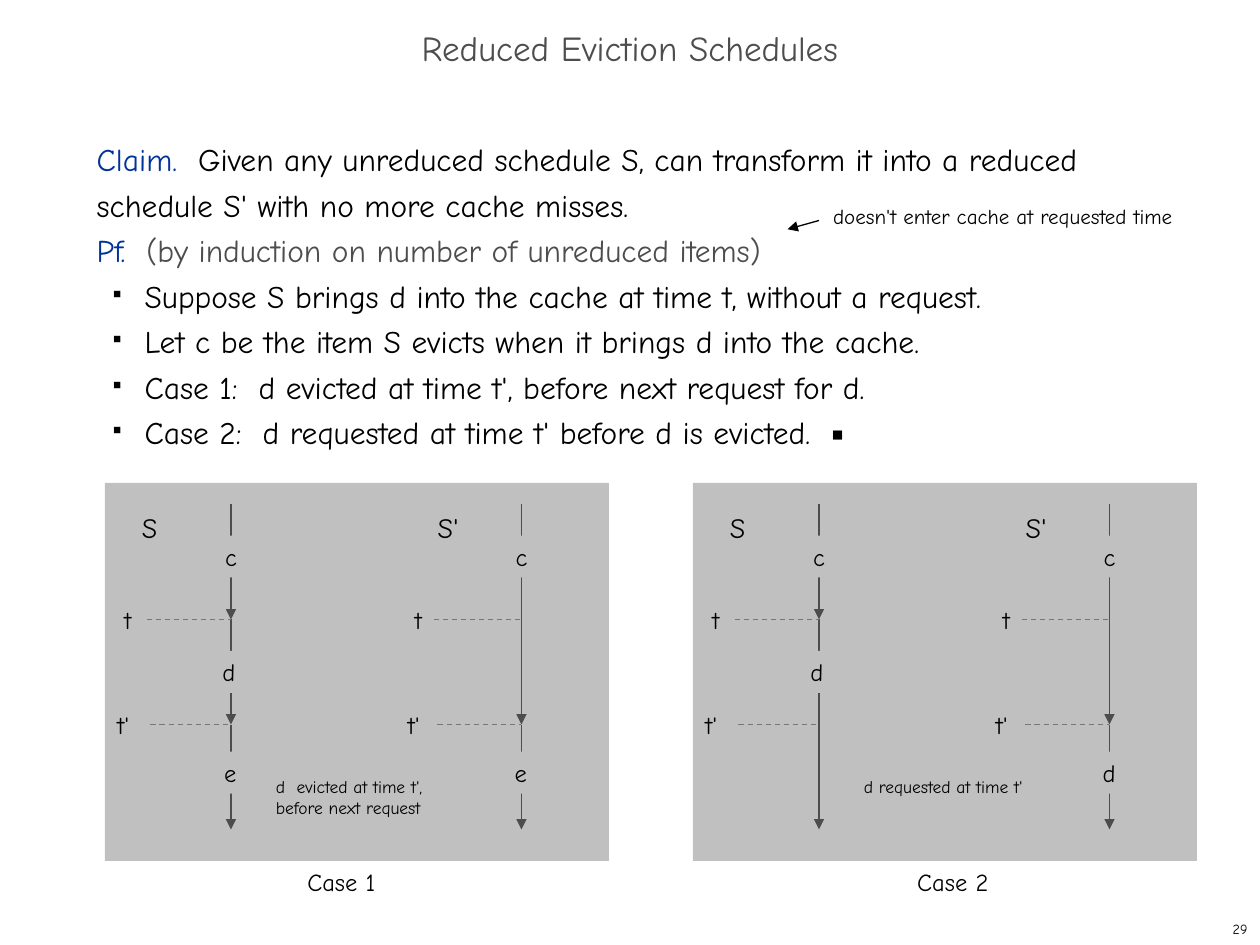
import pptx
import pptx.util
import pptx.dml.color
import pptx.enum.dml
import pptx.enum.shapes
import pptx.enum.text
import pptx.oxml.ns
from lxml import etree

Pt = pptx.util.Pt
Dash = pptx.enum.dml.MSO_LINE
Align = pptx.enum.text.PP_ALIGN
Anchor = pptx.enum.text.MSO_ANCHOR
Fit = pptx.enum.text.MSO_AUTO_SIZE
qn = pptx.oxml.ns.qn

FONT = "Comic Neue"
COLORS = {"ink": "000000", "gray": "4D4D4D", "blue": "003399",
          "panel": "C0C0C0", "dash": "777777"}

# Content
TITLE = "Reduced Eviction Schedules"
CLAIMS = [
    [("Claim.  ", "blue"),
     ("Given any unreduced schedule S, can transform it into a reduced "
      "schedule S' with no more cache misses.", "ink")],
    [("Pf.  ", "blue"),
     ("(by induction on number of unreduced items)", "gray")],
]
STEPS = [
    "Suppose S brings d into the cache at time t, without a request.",
    "Let c be the item S evicts when it brings d into the cache.",
    "Case 1:  d evicted at time t', before next request for d.",
    "Case 2:  d requested at time t' before d is evicted.  ▪",
]
ASIDE = "doesn't enter cache at requested time"
PAGE = "29"

# Timeline heights: start, time t, time t', end
TOP, T1, T2, END = 288, 354, 414, 474
ROWS = {"first": 306, "mid": 372, "last": 429.5}

# Each track: stops of the arrows, then items by row
LONG = [TOP, T2, END]
CASES = [
    {"name": "Case 1", "left": 60, "cap": 168.5,
     "note": ["d  evicted at time t',", "before next request"],
     "tracks": [([TOP, T1, T2, END], {"first": "c", "mid": "d", "last": "e"}),
                (LONG, {"first": "c", "last": "e"})]},
    {"name": "Case 2", "left": 396, "cap": 517,
     "note": ["d requested at time t'"],
     "tracks": [([TOP, T1, END], {"first": "c", "mid": "d"}),
                (LONG, {"first": "c", "last": "d"})]},
]
# Each side: heading, axis offset, heading offset, length of dashes at t
SIDES = [("S", 72, 14, 48), ("S'", 238, 183, 50)]
NUDGE = {"first": -10.5, "mid": -12, "last": -11}

deck = pptx.Presentation()
deck.slide_width, deck.slide_height = Pt(720), Pt(540)
slide = deck.slides.add_slide(deck.slide_layouts[6])
shapes = slide.shapes


def color(name):
    return pptx.dml.color.RGBColor.from_string(COLORS[name])


def write(para, text, size, ink="ink"):
    run = para.add_run()
    run.text = text
    run.font.size, run.font.name = Pt(size), FONT
    run.font.color.rgb = color(ink)


def label(x, y, w, h, lines, size, ink="ink", wrap=False, mid=False,
          align=Align.LEFT):
    box = shapes.add_textbox(Pt(x), Pt(y), Pt(w), Pt(h))
    frame = box.text_frame
    frame.word_wrap = wrap
    frame.auto_size = Fit.NONE
    frame.vertical_anchor = Anchor.MIDDLE if mid else Anchor.TOP
    para = frame.paragraphs[0]
    para.alignment = align
    for i, text in enumerate(lines):
        if i:
            para.add_line_break()
        write(para, text, size, ink)
    return box


def block(x, y, w, h):
    box = shapes.add_shape(pptx.enum.shapes.MSO_SHAPE.RECTANGLE,
                           Pt(x), Pt(y), Pt(w), Pt(h))
    box.shadow.inherit = False
    box.fill.solid()
    box.fill.fore_color.rgb = color("panel")
    box.line.fill.background()
    return box


def item(x, y, text):
    frame = block(x, y, 24, 24).text_frame
    frame.word_wrap = False
    frame.margin_top = frame.margin_bottom = 0
    frame.vertical_anchor = Anchor.MIDDLE
    frame.paragraphs[0].alignment = Align.LEFT
    write(frame.paragraphs[0], text, 14)


def line(x1, y1, x2, y2, ink="gray", arrow=True):
    link = shapes.add_connector(pptx.enum.shapes.MSO_CONNECTOR.STRAIGHT,
                                Pt(x1), Pt(y1), Pt(x2), Pt(y2))
    link.line.width = Pt(0.75)
    link.line.color.rgb = color(ink)
    if arrow:
        etree.SubElement(link.line._get_or_add_ln(), qn("a:tailEnd"),
                         type="triangle")
    else:
        link.line.dash_style = Dash.DASH
    etree.SubElement(link._element.spPr, qn("a:effectLst"))


def bullet(para):
    props = para._p.get_or_add_pPr()
    props.set("marL", str(Pt(27.36)))
    props.set("indent", str(Pt(-18)))
    tint = etree.SubElement(props, qn("a:buClr"))
    etree.SubElement(tint, qn("a:srgbClr"), val=COLORS["ink"])
    etree.SubElement(props, qn("a:buSzPct"), val="35000")
    etree.SubElement(props, qn("a:buChar"), char="■")


# Title
head = label(0, 12, 720, 36, [TITLE], 20, "gray", wrap=True, mid=True,
             align=Align.CENTER)
head.text_frame.paragraphs[0].line_spacing = 0.7

# Claim and proof
body = shapes.add_textbox(Pt(48.2), Pt(72.2), Pt(618), Pt(426)).text_frame
body.word_wrap = True
rows = CLAIMS + [[(step, "ink")] for step in STEPS]
for i, runs in enumerate(rows):
    para = body.add_paragraph() if i else body.paragraphs[0]
    para.line_spacing = Pt(26)
    if i >= len(CLAIMS):
        bullet(para)
    for text, ink in runs:
        write(para, text, 18, ink)

# Aside with its arrow
label(469, 112.5, 228, 21.6, [ASIDE], 12, wrap=True)
line(468, 126, 450, 131, "ink")

# Case panels
for case in CASES:
    left = case["left"]
    block(left, 276, 288, 216)
    for (name, axis, lead, reach), (stops, items) in zip(SIDES, case["tracks"]):
        x = left + axis
        label(left + lead, 288, 32, 26.6, [name], 16)
        for y1, y2 in zip(stops, stops[1:]):
            line(x, y1, x, y2)
        for mark, y, shift, dash in (("t", T1, 68, reach),
                                     ("t'", T2, 72, reach - 2)):
            label(x - shift, y - 12, 24, 24, [mark], 14, mid=True)
            line(x - dash, y, x, y, "dash", arrow=False)
        for row, text in items.items():
            item(x + NUDGE[row], ROWS[row], text)
    note = case["note"]
    label(left + 90.5, 440, 112, 7.2 + 12.2 * len(note), note, 10)
    label(case["cap"], 492, 60, 24, [case["name"]], 14)

# Page number
label(570, 522, 150, 18, [PAGE], 8, wrap=True, mid=True, align=Align.RIGHT)

deck.save("out.pptx")
